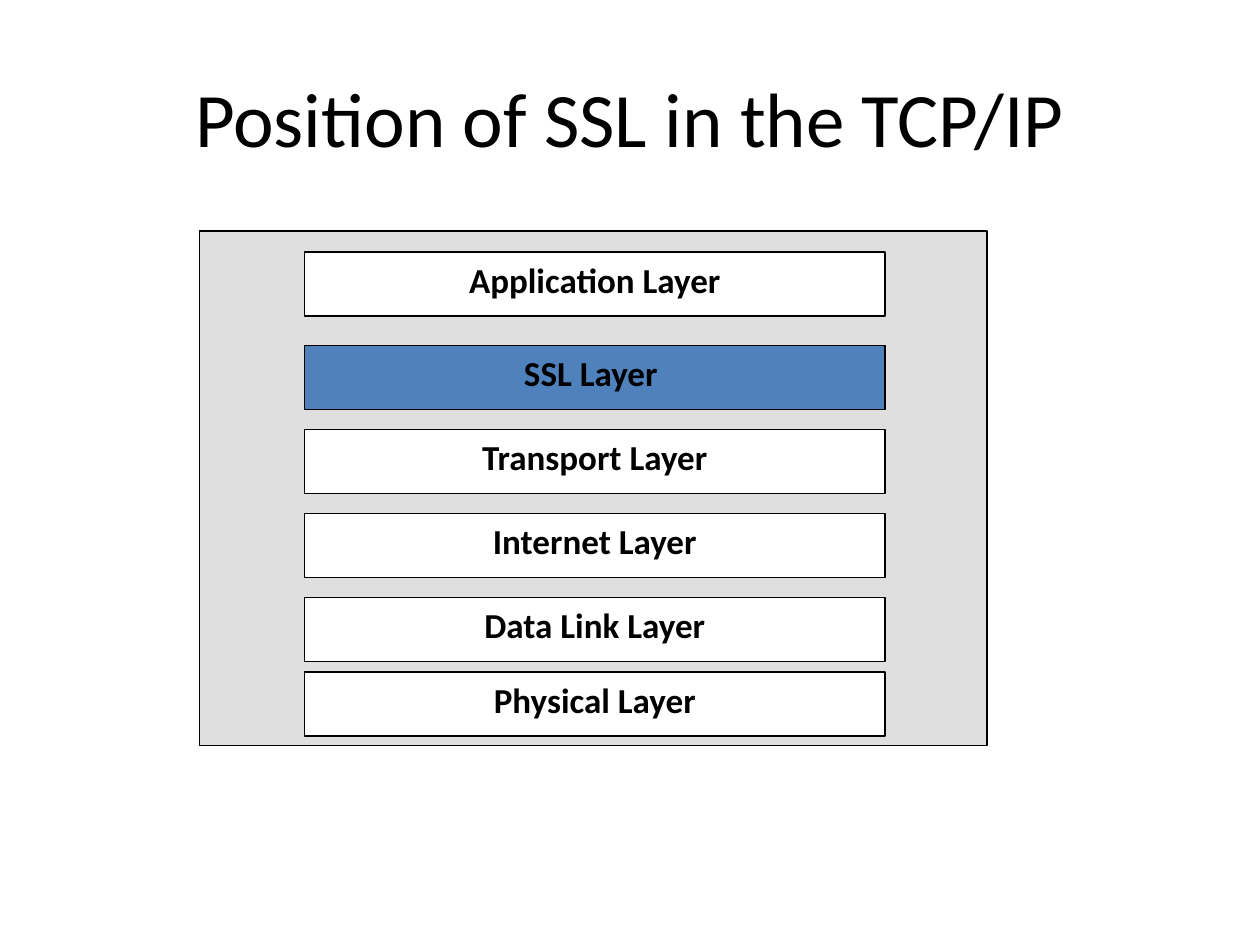
import pptx
import pptx.dml.color
import pptx.enum.shapes
import pptx.enum.text
import pptx.oxml.ns
import pptx.util
from lxml import etree


def color(hex_value):
    return pptx.dml.color.RGBColor.from_string(hex_value)


class SlideBuilder:
    """Style and current slide; lengths are cells of a 120 by 90 grid."""

    FONT = "Calibri"
    INK = "000000"
    COLUMNS, ROWS = 120, 90

    def __init__(self, presentation):
        self.column = presentation.slide_width / self.COLUMNS
        self.row = presentation.slide_height / self.ROWS
        self.slide = presentation.slides.add_slide(presentation.slide_layouts[5])

    def place(self, left, top, width, height):
        return (round(left * self.column), round(top * self.row),
                round(width * self.column), round(height * self.row))

    def add_label(self, frame, text, size, bold=False):
        paragraph = frame.paragraphs[0]
        paragraph.alignment = pptx.enum.text.PP_ALIGN.CENTER
        run = paragraph.add_run()
        run.text = text
        run.font.name = self.FONT
        run.font.size = pptx.util.Pt(size)
        run.font.bold = bold
        run.font.color.rgb = color(self.INK)

    def title(self, text, cells):
        heading = self.slide.shapes.title
        heading.left, heading.top, heading.width, heading.height = self.place(*cells)
        heading.text_frame.vertical_anchor = pptx.enum.text.MSO_ANCHOR.MIDDLE
        self.add_label(heading.text_frame, text, 44)

    def group(self):
        return self.slide.shapes.add_group_shape()

    def box(self, parent, cells, fill, opacity=None):
        box = parent.shapes.add_shape(
            pptx.enum.shapes.MSO_SHAPE.RECTANGLE, *self.place(*cells))
        box.shadow.inherit = False
        box.fill.solid()
        box.fill.fore_color.rgb = color(fill)
        box.line.color.rgb = color(self.INK)
        box.line.width = pptx.util.Pt(0.75)
        if opacity is not None:
            # The first colour in the shape properties is the fill
            fill_color = box.element.spPr.find(".//" + pptx.oxml.ns.qn("a:srgbClr"))
            alpha = etree.SubElement(fill_color, pptx.oxml.ns.qn("a:alpha"))
            alpha.set("val", str(opacity * 1000))
        return box

    def layer(self, parent, text, top, fill="FFFFFF"):
        layer = self.box(parent, (29, top, 55.3, 6.1), fill)
        layer.text_frame.word_wrap = True
        layer.text_frame.vertical_anchor = pptx.enum.text.MSO_ANCHOR.TOP
        self.add_label(layer.text_frame, text, 20, bold=True)


def main():
    presentation = pptx.Presentation()
    presentation.slide_width = pptx.util.Inches(10)
    presentation.slide_height = pptx.util.Inches(7.5)
    builder = SlideBuilder(presentation)

    builder.title("Position of SSL in the TCP/IP", (6, 3.6, 108, 15))

    # TCP/IP stack on its translucent panel
    stack = builder.group()
    builder.box(stack, (19, 22, 75, 49), "C0C0C0", opacity=50)
    ssl_top, pitch = 32.9, 8
    builder.layer(stack, "Application Layer", 24)
    middle_layers = ("Transport Layer", "Internet Layer", "Data Link Layer")
    for step, name in enumerate(middle_layers, start=1):
        builder.layer(stack, name, ssl_top + step * pitch)
    builder.layer(stack, "Physical Layer", 64)

    # SSL inserted between application and transport
    builder.layer(builder.slide, "SSL Layer ", ssl_top, fill="4F81BD")

    presentation.save("out.pptx")


if __name__ == "__main__":
    main()
